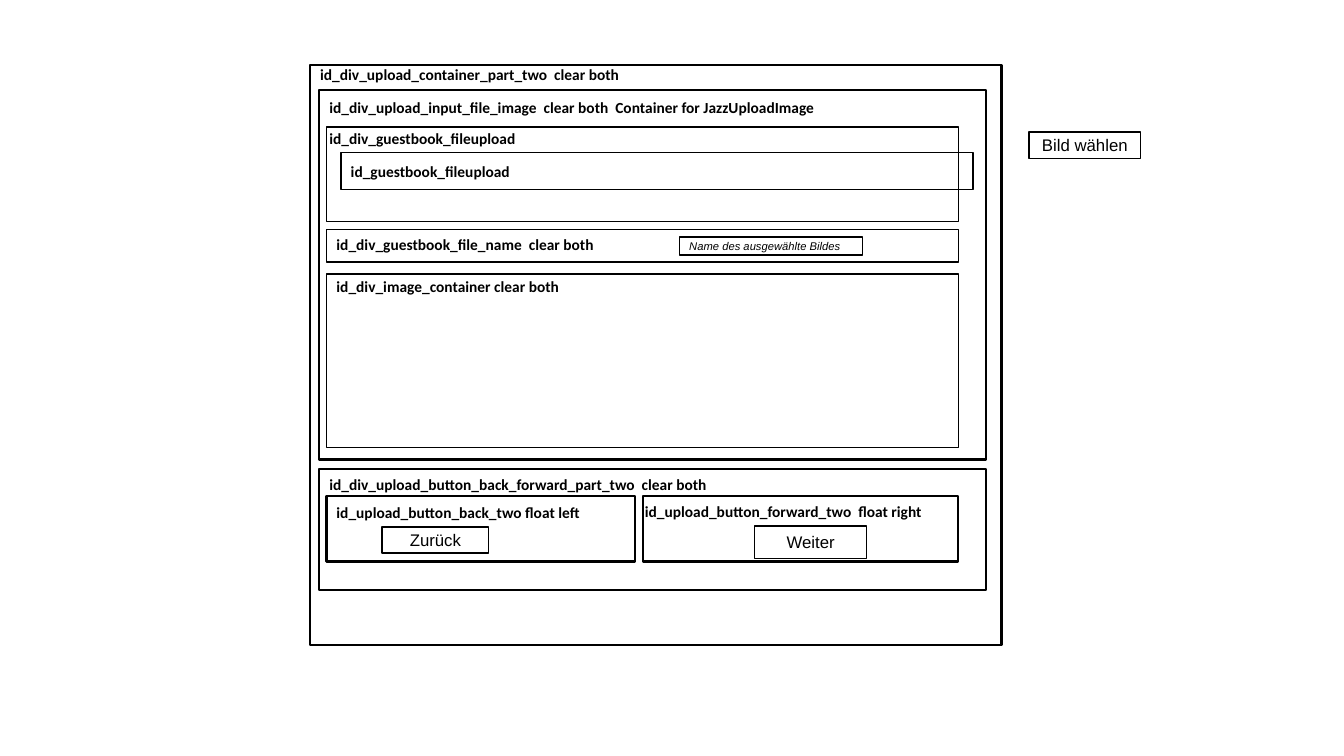
from pptx import Presentation
from pptx.dml.color import RGBColor
from pptx.enum.shapes import MSO_SHAPE
from pptx.enum.text import MSO_ANCHOR, PP_ALIGN
from pptx.util import Cm, Pt

COLORS = {"ink": "000000", "paper": "FFFFFF"}
OUTER, INNER, NESTED = 7.82, 8.05, 8.23
INNER_WIDTH, NESTED_WIDTH = 16.81, 15.93
BUTTON_ROW, BUTTON_HEIGHT = 12.5, 1.65
LABEL_HEIGHT = 0.74

FRAMES = [
    ((OUTER, 1.65, 17.42, 14.6), 1.5),
    ((INNER, 2.26, INNER_WIDTH, 9.32), 1.5),
    ((NESTED, 3.2, NESTED_WIDTH, 2.39), 1),
    ((NESTED, 5.79, NESTED_WIDTH, 0.81), 1),
    ((NESTED, 6.91, NESTED_WIDTH, 4.37), 1),
    ((INNER, 11.81, INNER_WIDTH, 3.07), 1.5),
    ((NESTED, BUTTON_ROW, 7.77, BUTTON_HEIGHT), 1.5),
    ((16.2, BUTTON_ROW, 7.95, BUTTON_HEIGHT), 1.5),
    ((8.59, 3.84, NESTED_WIDTH, 0.94), 1),
]

LABELS = [
    ("id_div_upload_container_part_two  clear both", OUTER, 1.52, 12.04),
    ("id_div_upload_input_file_image  clear both  Container for JazzUploadImage", INNER, 2.34, 14.25),
    ("id_div_guestbook_fileupload", INNER, 3.12, 6.07),
    ("id_div_guestbook_file_name  clear both", NESTED, 5.79, 14.25),
    ("id_div_image_container clear both", NESTED, 6.86, 14.25),
    ("id_div_upload_button_back_forward_part_two  clear both", INNER, 11.84, 12.04),
    ("id_upload_button_back_two float left", NESTED, 12.55, 7.77),
    ("id_upload_button_forward_two  float right", 16, 12.52, 9.02),
    ("id_guestbook_fileupload", 8.59, 3.96, 6.07),
]

FILE_NAME = ("Name des ausgewählte Bildes", (17.12, 5.97, 4.62, 0.46))
BUTTONS = [
    ("Bild wählen", (25.93, 3.33, 2.82, 0.66)),
    ("Weiter", (19.02, 13.26, 2.82, 0.81)),
    ("Zurück", (9.63, 13.28, 2.69, 0.66)),
]


def color(name):
    return RGBColor.from_string(COLORS[name])


def write(box, text, size=12, font="Arial", bold=False, italic=False,
          align=PP_ALIGN.LEFT, anchor=MSO_ANCHOR.MIDDLE):
    frame = box.text_frame
    frame.word_wrap = True
    frame.vertical_anchor = anchor
    para = frame.paragraphs[0]
    para.alignment = align
    span = para.add_run()
    span.text = text
    span.font.size = Pt(size)
    span.font.name = font
    span.font.bold = bold
    span.font.italic = italic
    span.font.color.rgb = color("ink")


def add_frame(page, bounds, line=1, fill=None):
    box = page.shapes.add_shape(MSO_SHAPE.RECTANGLE, *map(Cm, bounds))
    box.shadow.inherit = False
    if fill:
        box.fill.solid()
        box.fill.fore_color.rgb = color(fill)
    else:
        box.fill.background()
    box.line.color.rgb = color("ink")
    box.line.width = Pt(line)
    return box


def main():
    deck = Presentation()
    deck.slide_width, deck.slide_height = Cm(33.87), Cm(19.05)
    page = deck.slides.add_slide(deck.slide_layouts[6])
    for bounds, line in FRAMES:
        add_frame(page, bounds, line=line)
    for text, left, top, width in LABELS:
        box = page.shapes.add_textbox(Cm(left), Cm(top), Cm(width), Cm(LABEL_HEIGHT))
        write(box, text, size=11, font="Calibri", bold=True, anchor=MSO_ANCHOR.TOP)
    text, bounds = FILE_NAME
    write(add_frame(page, bounds, fill="paper"), text, size=8, italic=True)
    for text, bounds in BUTTONS:
        write(add_frame(page, bounds), text, align=PP_ALIGN.CENTER)
    deck.save("out.pptx")


if __name__ == "__main__":
    main()
